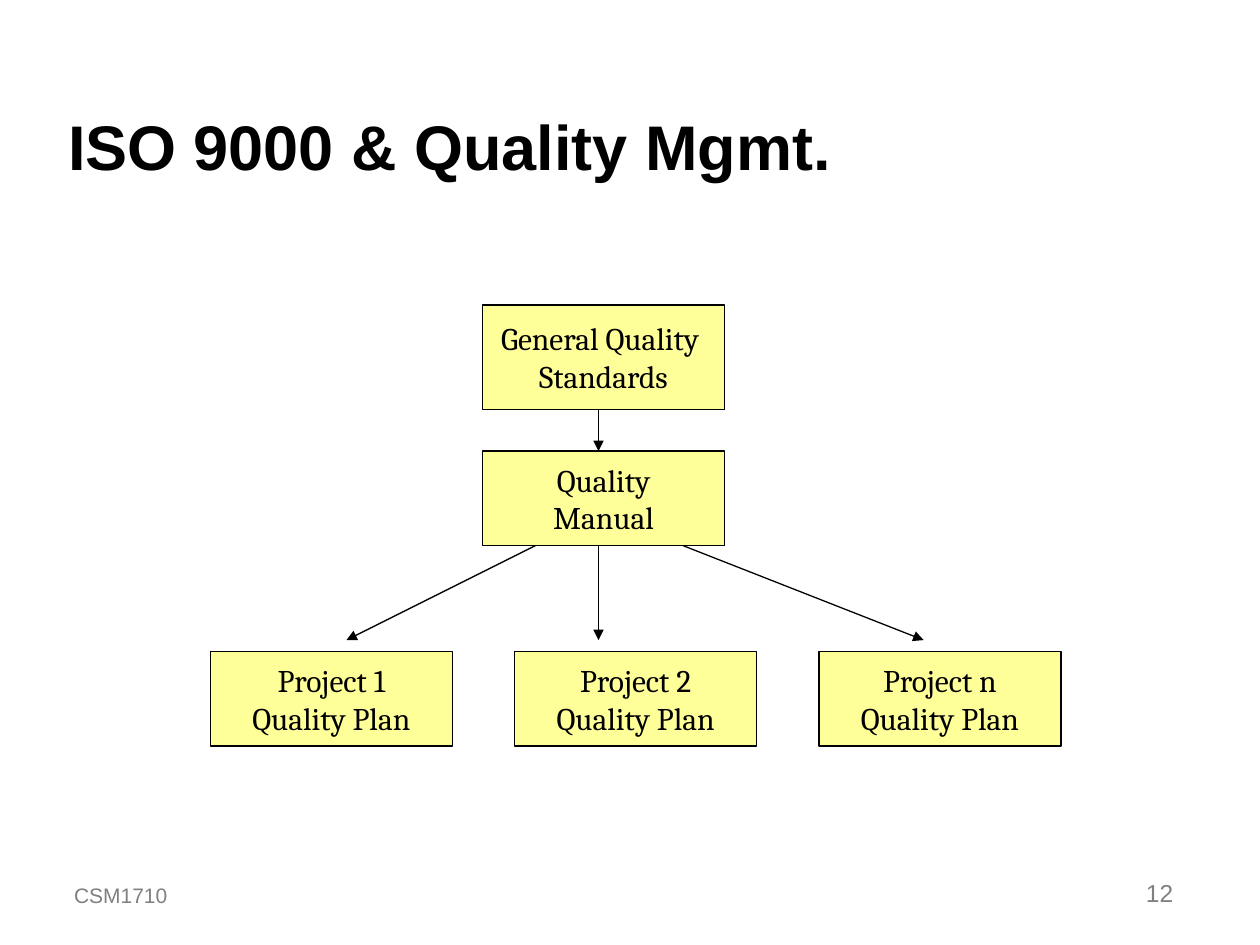
"""Build the ISO 9000 quality management hierarchy slide."""
from lxml import etree
from pptx import Presentation
from pptx.dml.color import RGBColor
from pptx.enum.shapes import MSO_CONNECTOR, MSO_SHAPE
from pptx.enum.text import MSO_ANCHOR as ANCHOR, MSO_AUTO_SIZE, PP_ALIGN as ALIGN
from pptx.oxml.ns import qn
from pptx.util import Inches, Pt

BLACK = RGBColor(0x00, 0x00, 0x00)
GREY = RGBColor(0x80, 0x80, 0x80)
YELLOW = RGBColor(0xFF, 0xFF, 0x99)


def add_run(paragraph, text, size, font, color, align, bold=False):
    paragraph.alignment = align
    run = paragraph.add_run()
    run.text = text
    run.font.size = Pt(size)
    run.font.name = font
    run.font.bold = bold
    run.font.color.rgb = color


prs = Presentation()
prs.slide_width, prs.slide_height = Inches(10), Inches(7.5)
slide = prs.slides.add_slide(prs.slide_layouts[5])
shapes = slide.shapes

title = shapes.title
title.left, title.top = Inches(0.44), Inches(0.25)
title.width, title.height = Inches(8.5), Inches(1.25)
title.text_frame.vertical_anchor = ANCHOR.BOTTOM
title.text_frame.auto_size = MSO_AUTO_SIZE.NONE
add_run(title.text_frame.paragraphs[0], "ISO 9000 & Quality Mgmt.", 36, "Arial", BLACK,
        ALIGN.LEFT, bold=True)

documents = [
    (3.83, 2.42, 0.83, ("General Quality ", "Standards")),
    (3.83, 3.58, 0.75, ("Quality", "Manual")),
]
for column, project in enumerate(("Project 1", "Project 2", "Project n")):
    documents.append((1.67 + column * 2.415, 5.17, 0.75, (project, "Quality Plan")))

for left, top, height, lines in documents:
    document = shapes.add_shape(MSO_SHAPE.RECTANGLE, Inches(left), Inches(top),
                                Inches(1.92), Inches(height))
    document.shadow.inherit = False
    document.fill.solid()
    document.fill.fore_color.rgb = YELLOW
    document.line.color.rgb = BLACK
    document.line.width = Pt(0.75)
    frame = document.text_frame
    frame.word_wrap = False
    frame.vertical_anchor = ANCHOR.MIDDLE
    for index, line in enumerate(lines):
        paragraph = frame.add_paragraph() if index else frame.paragraphs[0]
        add_run(paragraph, line, 18, "Cambria", BLACK, ALIGN.CENTER)

arrow_ends = [
    (4.75, 3.25, 4.75, 3.58),
    (4.25, 4.33, 2.75, 5.08),
    (4.75, 4.33, 4.75, 5.08),
    (5.42, 4.33, 7.33, 5.08),
]
for ends in arrow_ends:
    arrow = shapes.add_connector(MSO_CONNECTOR.STRAIGHT, *map(Inches, ends))
    arrow.line.color.rgb = BLACK
    arrow.line.width = Pt(0.75)
    etree.SubElement(arrow.line._get_or_add_ln(), qn("a:tailEnd"), type="triangle")
    etree.SubElement(arrow._element.spPr, qn("a:effectLst"))

footers = [
    (0.49, 3, "CSM1710", 12, 7.5, ALIGN.LEFT),
    (7.33, 2.08, "12", 14, 8.8, ALIGN.RIGHT),
]
for left, width, text, size, space, align in footers:
    footer = shapes.add_textbox(Inches(left), Inches(6.75), Inches(width), Inches(0.5))
    footer.text_frame.word_wrap = True
    footer.text_frame.vertical_anchor = ANCHOR.BOTTOM
    add_run(footer.text_frame.paragraphs[0], text, size, "Arial", GREY, align)

prs.save("out.pptx")
